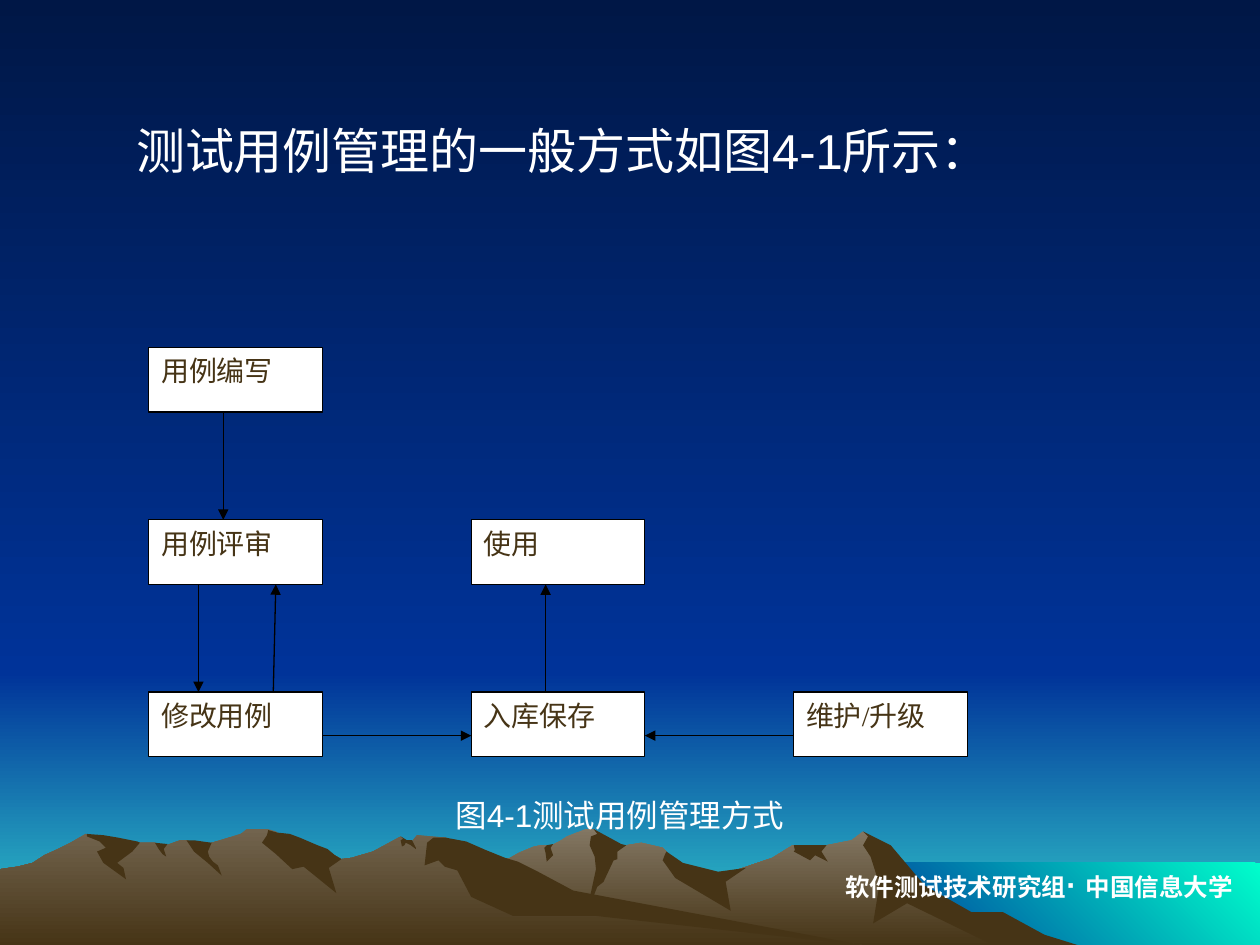
from dataclasses import dataclass

from lxml.etree import SubElement
from pptx import Presentation
from pptx.dml.color import RGBColor
from pptx.enum.shapes import MSO_CONNECTOR, MSO_SHAPE
from pptx.enum.text import MSO_ANCHOR, MSO_AUTO_SIZE, PP_ALIGN
from pptx.oxml.ns import qn
from pptx.util import Cm, Pt


@dataclass(frozen=True)
class Theme:
    night: str = "001746"
    blue: str = "003399"
    horizon: str = "33CCCC"
    glow: str = "00FFCC"
    rock: str = "463416"
    left_slope: str = "72644E"
    right_slope: str = "837763"
    white: str = "FFFFFF"
    black: str = "000000"
    latin: str = "Arial"
    box_latin: str = "Times New Roman"
    title_size: int = 28
    caption_size: int = 18
    box_size: int = 16
    footer_size: int = 14
    line_width: float = 0.75


THEME = Theme()
PAGE_WIDTH, PAGE_HEIGHT = Cm(25.4), Cm(19.05)
OUTLINE_UNIT = Cm(2.54) // 100

# Outline points count in OUTLINE_UNIT from the top left of the mountain range.
RIGHT_SLOPE = [
    (802, 82), (778, 69), (764, 65), (723, 40), (702, 13), (685, 2), (676, 9), (656, 13),
    (629, 13), (613, 23), (566, 39), (536, 32), (529, 18), (526, 15), (509, 11), (497, 13),
    (486, 15), (474, 3), (471, 0), (465, 0), (450, 6), (444, 10), (438, 13), (430, 13),
    (424, 14), (412, 19), (405, 23), (394, 27), (355, 40), (327, 51), (277, 81), (258, 93),
    (821, 93)]
LEFT_SLOPE = [
    (690, 93), (667, 90), (432, 54), (354, 7), (331, 5), (327, 10), (323, 10), (318, 6),
    (296, 18), (279, 23), (271, 24), (260, 18), (236, 23), (223, 5), (219, 2), (212, 0),
    (196, 0), (191, 4), (178, 8), (168, 11), (160, 13), (148, 9), (143, 9), (132, 13),
    (128, 13), (123, 11), (111, 11), (94, 13), (68, 4), (56, 11), (46, 16), (35, 21),
    (26, 27), (14, 30), (0, 32), (0, 93)]
RIGHT_SHADES = [
    [(796, 66), (771, 66), (734, 45), (707, 13), (685, 2), (689, 6), (685, 13), (691, 22),
     (698, 44), (693, 75), (720, 59), (792, 94), (858, 93), (829, 84)],
    [(471, 0), (474, 4), (469, 6), (468, 13), (472, 22), (473, 32), (465, 69), (474, 46),
     (479, 42), (487, 25), (490, 24), (490, 18), (497, 13), (493, 12)],
    [(529, 18), (528, 20), (526, 25), (536, 39), (580, 65), (576, 42), (592, 31), (570, 34),
     (542, 27)],
    [(650, 13), (630, 13), (631, 17), (630, 18), (643, 25), (647, 21), (657, 26), (652, 18),
     (656, 13)],
    [(433, 19), (432, 15), (434, 13), (439, 12), (437, 15), (439, 21), (434, 26)]]
LEFT_SHADES = [
    [(212, 5), (208, 11), (219, 20), (232, 32), (241, 30), (267, 51), (261, 31), (271, 24),
     (266, 21), (260, 16), (252, 13), (238, 7), (230, 4), (220, 3), (213, 1)],
    [(370, 10), (354, 7), (344, 7), (339, 11), (337, 29), (348, 25), (353, 30), (363, 33),
     (374, 54), (407, 69), (472, 69), (690, 93), (683, 92), (455, 49), (427, 34), (411, 26),
     (401, 23), (386, 17)],
    [(318, 9), (320, 8), (318, 6), (323, 9), (327, 9), (330, 15), (330, 16), (326, 13),
     (322, 11), (321, 13), (319, 14)],
    [(154, 9), (161, 10), (168, 11), (165, 18), (166, 22), (169, 26), (173, 29), (176, 37),
     (165, 27), (154, 18), (148, 9)],
    [(133, 12), (130, 16), (132, 22), (129, 20), (126, 16), (123, 11)],
    [(109, 10), (111, 11), (105, 18), (93, 27), (98, 31), (100, 40), (82, 27), (77, 18),
     (84, 15), (79, 10), (69, 6), (69, 4), (82, 5), (94, 7)]]


def color(code):
    return RGBColor.from_string(code)


def paint(fill, *codes, clockwise=90):
    """Fill with one colour, or with a gradient between two."""
    if len(codes) == 1:
        fill.solid()
        fill.fore_color.rgb = color(codes[0])
        return
    fill.gradient()
    fill.gradient_angle = 360 - clockwise
    for stop, code in zip(fill.gradient_stops, codes):
        stop.color.rgb = color(code)


def add_panel(page, left, top, width, height, *codes, clockwise=90):
    panel = page.shapes.add_shape(MSO_SHAPE.RECTANGLE, left, top, width, height)
    panel.shadow.inherit = False
    panel.line.fill.background()
    paint(panel.fill, *codes, clockwise=clockwise)
    return panel


def add_outline(page, left, top, points, *codes):
    builder = page.shapes.build_freeform(*points[0], scale=OUTLINE_UNIT)
    builder.add_line_segments(points[1:], close=True)
    outline = builder.convert_to_shape(left, top)
    outline.shadow.inherit = False
    outline.line.fill.background()
    paint(outline.fill, *codes)


def write(shape, *spans, size, code=THEME.white, latin=THEME.latin, bold=False,
          align=PP_ALIGN.LEFT, anchor=MSO_ANCHOR.TOP, wrap=True):
    """Write one paragraph; a span is a text or a (text, size) pair."""
    frame = shape.text_frame
    frame.word_wrap = wrap
    frame.auto_size = MSO_AUTO_SIZE.NONE
    frame.vertical_anchor = anchor
    para = frame.paragraphs[0]
    para.alignment = align
    for item in spans:
        text, span_size = (item, size) if isinstance(item, str) else item
        span = para.add_run()
        span.text = text
        span.font.size = Pt(span_size)
        span.font.name = latin
        span.font.bold = bold
        span.font.color.rgb = color(code)


def add_arrow(page, start, end):
    arrow = page.shapes.add_connector(MSO_CONNECTOR.STRAIGHT, *start, *end)
    arrow.line.color.rgb = color(THEME.black)
    arrow.line.width = Pt(THEME.line_width)
    SubElement(arrow.line._get_or_add_ln(), qn("a:tailEnd"), type="triangle")
    SubElement(arrow._element.spPr, qn("a:effectLst"))


def add_scenery(page, left, top, width, height):
    paint(page.background.fill, THEME.night, THEME.blue)
    sky = Cm(13.55)
    add_panel(page, left, top + sky, width, height - sky, THEME.blue, THEME.horizon)
    add_panel(page, left, top, width, sky, THEME.night, THEME.blue)
    glow_left, glow_top = Cm(17.35), Cm(17.39)
    add_panel(page, left + glow_left, top + glow_top, width - glow_left, height - glow_top,
              THEME.glow, THEME.blue, clockwise=135)
    range_top = top + Cm(16.71)
    for slope, light, shades in ((RIGHT_SLOPE, THEME.right_slope, RIGHT_SHADES),
                                 (LEFT_SLOPE, THEME.left_slope, LEFT_SHADES)):
        add_outline(page, left, range_top, slope, light, THEME.rock)
        for shade in shades:
            add_outline(page, left, range_top, shade, THEME.rock)


def add_flow(page, left, top):
    """Draw the test case flow on a grid of three columns and three rows."""
    box_width, box_height = Cm(3.5), Cm(1.3)
    column_step, row_step = Cm(6.5), Cm(3.47)
    steps = {"用例编写": (0, 0), "用例评审": (0, 1), "修改用例": (0, 2),
             "入库保存": (1, 2), "使用": (1, 1), "维护/升级": (2, 2)}
    for label, (column, row) in steps.items():
        box = add_panel(page, left + column * column_step, top + row * row_step,
                        box_width, box_height, THEME.white)
        box.line.color.rgb = color(THEME.black)
        box.line.width = Pt(THEME.line_width)
        write(box, label, size=THEME.box_size, code=THEME.rock, latin=THEME.box_latin,
              align=PP_ALIGN.JUSTIFY)

    def below(row):
        return top + row * row_step + box_height

    def above(row):
        return top + row * row_step

    second, third = left + column_step, left + 2 * column_step
    middle = above(2) + Cm(0.88)
    for start, end in (
            ((left + Cm(1.5), below(0)), (left + Cm(1.5), above(1))),
            ((left + Cm(1), below(1)), (left + Cm(1), above(2))),
            ((left + Cm(2.51), above(2)), (left + Cm(2.56), below(1))),
            ((left + box_width, middle), (second, middle)),
            ((third, middle), (second + box_width, middle)),
            ((second + Cm(1.5), above(2)), (second + Cm(1.5), below(1)))):
        add_arrow(page, start, end)


def add_title(page, left, top, width, height):
    title = page.shapes.title
    title.left, title.top, title.width, title.height = left, top, width, height
    write(title, "测试用例管理的一般方式如图4-1所示：", size=THEME.title_size)


def add_caption(page, left, top, width, height):
    write(page.shapes.add_textbox(left, top, width, height), "图4-1测试用例管理方式",
          size=THEME.caption_size, align=PP_ALIGN.CENTER, anchor=MSO_ANCHOR.MIDDLE, wrap=False)


def add_footer(page, left, top, width, height):
    write(page.shapes.add_textbox(left, top, width, height), "软件测试技术研究组",
          ("· ", THEME.caption_size), "中国信息大学", size=THEME.footer_size, bold=True)


def main():
    deck = Presentation()
    deck.slide_width, deck.slide_height = PAGE_WIDTH, PAGE_HEIGHT
    page = deck.slides.add_slide(deck.slide_layouts.get_by_name("Title Only"))
    add_scenery(page, 0, 0, PAGE_WIDTH, PAGE_HEIGHT)
    add_flow(page, Cm(3), Cm(7.01))
    add_caption(page, Cm(4.29), Cm(15.72), Cm(16.41), Cm(1.4))
    add_footer(page, Cm(16.79), Cm(17.32), Cm(8.61), Cm(1.02))
    add_title(page, Cm(2.49), Cm(2.31), Cm(19.61), Cm(1.45))
    # The scenery was drawn after the title placeholder, so bring the title to the front.
    page.shapes._spTree.append(page.shapes.title._element)
    deck.save("out.pptx")


if __name__ == "__main__":
    main()
